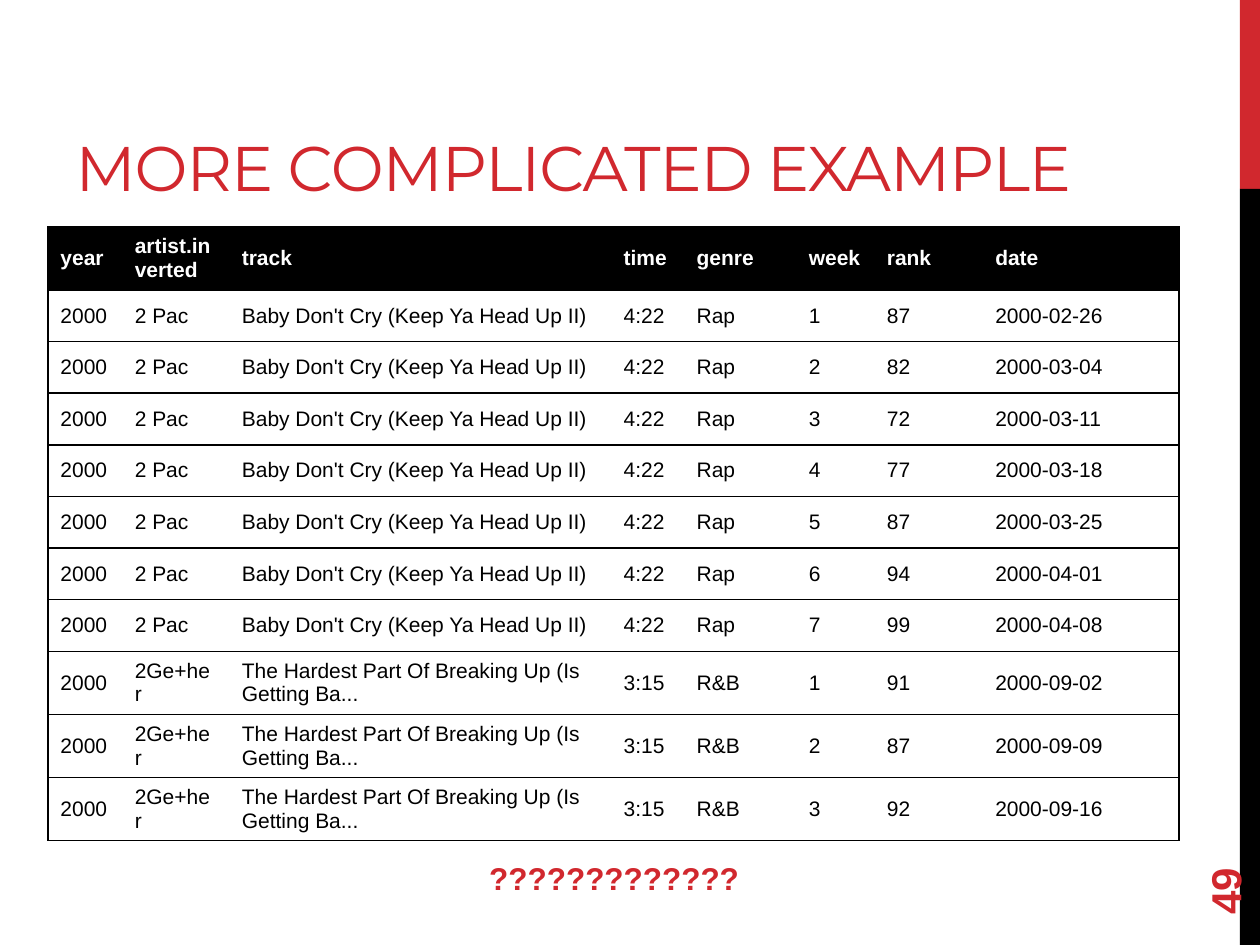
from lxml.etree import SubElement
from pptx import Presentation
from pptx.dml.color import RGBColor
from pptx.enum.shapes import MSO_SHAPE as Shape
from pptx.enum.text import MSO_ANCHOR as Anchor, MSO_AUTO_SIZE as AutoSize, PP_ALIGN as Align
from pptx.oxml.ns import qn
from pptx.util import Inches, Pt

RED = RGBColor(0xD1, 0x28, 0x2E)
BLACK = RGBColor(0, 0, 0)
WHITE = RGBColor(0xFF, 0xFF, 0xFF)

HEADER = ["year", "artist.inverted", "track", "time", "genre", "week", "rank", "date"]
COLUMN_WIDTHS = [0.59, 0.85, 3.03, 0.58, 0.89, 0.62, 0.86, 1.56]
ROW_HEIGHT = 0.41

# Each song: artist, track, time, genre, then (rank, date) week by week
SONGS = [
    ("2 Pac", "Baby Don't Cry (Keep Ya Head Up II)", "4:22", "Rap",
     [("87", "2000-02-26"), ("82", "2000-03-04"), ("72", "2000-03-11"), ("77", "2000-03-18"),
      ("87", "2000-03-25"), ("94", "2000-04-01"), ("99", "2000-04-08")]),
    ("2Ge+her", "The Hardest Part Of Breaking Up (Is Getting Ba...", "3:15", "R&B",
     [("91", "2000-09-02"), ("87", "2000-09-09"), ("92", "2000-09-16")]),
]


class SlideBuilder:
    """Holds the text style and the current slide."""

    body_font = "Arial"
    title_font = "Montserrat"

    def __init__(self, slide):
        self.slide = slide

    def format_text(self, text_frame, size, color, bold=False, font=None):
        for paragraph in text_frame.paragraphs:
            for run in paragraph.runs:
                run.font.name = font or self.body_font
                run.font.size = Pt(size)
                run.font.bold = bold
                run.font.color.rgb = color

    def title(self, text, left, top, width, height):
        shape = self.slide.shapes.title
        shape.left, shape.top = Inches(left), Inches(top)
        shape.width, shape.height = Inches(width), Inches(height)
        text_frame = shape.text_frame
        text_frame.text = text
        text_frame.vertical_anchor = Anchor.BOTTOM
        paragraph = text_frame.paragraphs[0]
        paragraph.alignment = Align.LEFT
        self.format_text(text_frame, 36, RED, font=self.title_font)
        paragraph.runs[0]._r.get_or_add_rPr().set("spc", "-60")

    def bar(self, left, top, width, height, color):
        shape = self.slide.shapes.add_shape(
            Shape.RECTANGLE, Inches(left), Inches(top), Inches(width), Inches(height))
        shape.shadow.inherit = False
        shape.fill.solid()
        shape.fill.fore_color.rgb = color
        shape.line.fill.background()

    def text(self, text, left, top, width, height, size,
             align=Align.LEFT, anchor=Anchor.TOP, rotation=0):
        shape = self.slide.shapes.add_textbox(
            Inches(left), Inches(top), Inches(width), Inches(height))
        shape.rotation = rotation
        text_frame = shape.text_frame
        text_frame.text = text
        text_frame.word_wrap = True
        text_frame.vertical_anchor = anchor
        text_frame.paragraphs[0].alignment = align
        self.format_text(text_frame, size, RED, bold=True)
        return shape

    def cell_borders(self, cell, sides):
        """Draw 1 pt black lines on the given sides and none on the others."""
        properties = cell._tc.get_or_add_tcPr()
        for position, side in enumerate("LRTB"):
            line = SubElement(properties, qn(f"a:ln{side}"), w=str(Pt(1)))
            if side in sides:
                fill = SubElement(line, qn("a:solidFill"))
                SubElement(fill, qn("a:srgbClr"), val=str(BLACK))
            else:
                SubElement(line, qn("a:noFill"))
            properties.insert(position, line)

    def table(self, rows, left, top, column_widths, row_height):
        table = self.slide.shapes.add_table(
            len(rows), len(column_widths), Inches(left), Inches(top),
            Inches(sum(column_widths)), Inches(row_height * len(rows))).table
        for column, width in zip(table.columns, column_widths):
            column.width = Inches(width)
        for row_index, values in enumerate(rows):
            table.rows[row_index].height = Inches(row_height)
            is_header = row_index == 0
            for column_index, value in enumerate(values):
                cell = table.cell(row_index, column_index)
                cell.text_frame.text = value
                cell.vertical_anchor = Anchor.MIDDLE
                cell.fill.solid()
                cell.fill.fore_color.rgb = BLACK if is_header else WHITE
                self.format_text(cell.text_frame, 12, WHITE if is_header else BLACK, is_header)
                sides = "TB"
                if column_index == 0:
                    sides += "L"
                if column_index == len(values) - 1:
                    sides += "R"
                self.cell_borders(cell, sides)


def chart_rows():
    rows = [HEADER]
    for artist, track, time, genre, weeks in SONGS:
        for week, (rank, date) in enumerate(weeks, start=1):
            rows.append(["2000", artist, track, time, genre, str(week), rank, date])
    return rows


def main():
    presentation = Presentation()
    presentation.slide_width, presentation.slide_height = Inches(10), Inches(7.5)
    builder = SlideBuilder(presentation.slides.add_slide(presentation.slide_layouts[5]))

    # Side bars
    builder.bar(9.84, 0, 0.16, 1.5, RED)
    builder.bar(9.84, 1.5, 0.16, 6, BLACK)

    # Title and slide number
    builder.title("MORE COMPLICATED EXAMPLE", 0.5, 0.17, 8.75, 1.5)
    builder.text("49", 9, 6.44, 1.44, 0.4, 24, anchor=Anchor.MIDDLE, rotation=270)

    # Song rankings
    builder.table(chart_rows(), 0.38, 1.8, COLUMN_WIDTHS, ROW_HEIGHT)

    # Closing question
    question = builder.text("?????????????", 3.08, 6.77, 3.59, 0.4, 18, align=Align.CENTER)
    question.text_frame.auto_size = AutoSize.SHAPE_TO_FIT_TEXT

    presentation.save("out.pptx")


if __name__ == "__main__":
    main()
